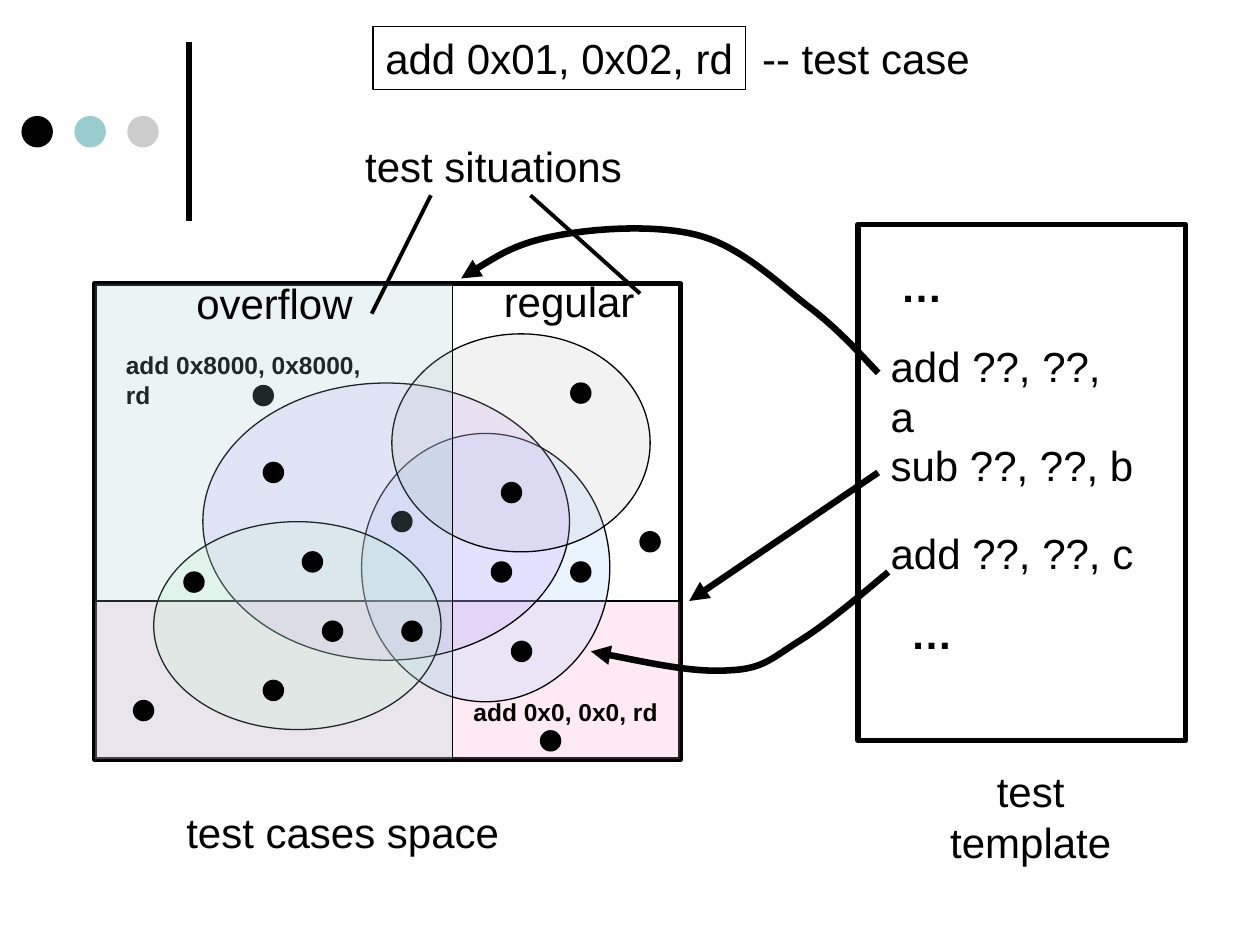
import pptx
import pptx.util
import pptx.dml.color
import pptx.enum.shapes
import pptx.enum.text
import pptx.oxml
import pptx.oxml.ns

PX = 9144
BLACK = "000000"
SHAPES = pptx.enum.shapes.MSO_SHAPE
DOT = 16


def color(value):
    return pptx.dml.color.RGBColor.from_string(value)


def shift(box, left, top, *size):
    return (box[0] + left, box[1] + top, *size)


def emu(lengths):
    return [pptx.util.Emu(length * PX) for length in lengths]


def add_element(parent, tag, **attributes):
    element = pptx.oxml.parse_xml(f"<{tag} {pptx.oxml.ns.nsdecls('a')}/>")
    for name, value in attributes.items():
        element.set(name, value)
    parent.append(element)
    return element


def set_outline(line, weight, arrow=False):
    line.fill.solid()
    line.fill.fore_color.rgb = color(BLACK)
    line.width = pptx.util.Pt(weight)
    if arrow:
        add_element(line._get_or_add_ln(), "a:tailEnd", type="triangle")


def add_figure(page, kind, box, fill=None, opacity=100, weight=0.75):
    figure = page.shapes.add_shape(kind, *emu(box))
    figure.shadow.inherit = False
    if fill:
        figure.fill.solid()
        figure.fill.fore_color.rgb = color(fill)
        if opacity < 100:
            tint = figure.fill._xPr.find(".//" + pptx.oxml.ns.qn("a:srgbClr"))
            add_element(tint, "a:alpha", val=str(opacity * 1000))
    else:
        figure.fill.background()
    if weight:
        set_outline(figure.line, weight)
    else:
        figure.line.fill.background()
    return figure


def write(frame, text, size=24, bold=False, align=pptx.enum.text.PP_ALIGN.LEFT):
    frame.word_wrap = False
    frame.auto_size = pptx.enum.text.MSO_AUTO_SIZE.SHAPE_TO_FIT_TEXT
    frame.vertical_anchor = pptx.enum.text.MSO_ANCHOR.TOP
    para = frame.paragraphs[0]
    para.text = text
    para.alignment = align
    for span in para.runs:
        span.font.name = "Arial"
        span.font.size = pptx.util.Pt(size)
        span.font.bold = bold
        span.font.color.rgb = color(BLACK)


def add_label(page, box, text, **style):
    write(page.shapes.add_textbox(*emu(box)).text_frame, text, **style)


def add_line(page, start, end, weight, arrow=False):
    straight = pptx.enum.shapes.MSO_CONNECTOR.STRAIGHT
    line = page.shapes.add_connector(straight, *emu(start + end))
    set_outline(line.line, weight, arrow)
    add_element(line._element.spPr, "a:effectLst")


def add_curved_arrow(page, points, weight):
    builder = page.shapes.build_freeform(*points[0], scale=PX)
    builder.add_line_segments(points[1:], close=False)
    curve = builder.convert_to_shape()
    curve.shadow.inherit = False
    curve.fill.background()
    set_outline(curve.line, weight, arrow=True)
    segments = curve._element.xpath(".//a:lnTo")
    outline = segments[0].getparent()
    for first in range(0, len(segments), 3):
        bend = add_element(outline, "a:cubicBezTo")
        for segment in segments[first:first + 3]:
            bend.append(segment[0])
            outline.remove(segment)


def add_dots(page, box, places):
    for left, top in places:
        add_figure(page, SHAPES.OVAL, shift(box, left, top, DOT, DOT), BLACK)


def add_ornament(page, box):
    left, top, width, height = box
    add_line(page, (left + width, top + height), (left + width, top), 3)
    for index, fill in enumerate((BLACK, "99CCCC", "CCCCCC")):
        add_figure(page, SHAPES.OVAL, shift(box, index * 42, 59, 25, 25), fill, weight=0)


def add_example(page, box):
    frame = add_figure(page, SHAPES.RECTANGLE, shift(box, 0, 0, 296, box[3]))
    write(frame.text_frame, "add 0x01, 0x02, rd")
    add_label(page, shift(box, 299, 0, 185, box[3]), "-- test case")


def add_space(page, box):
    width, height = box[2:]
    add_figure(page, SHAPES.RECTANGLE, box, weight=3)
    add_label(page, shift(box, 63, 410, 268, 50), "test cases space")
    regions = [
        (SHAPES.RECTANGLE, (0, 252, width, height - 252), "FF99CC"),
        (SHAPES.OVAL, (212, 119, 197, 213), "99CCFF"),
        (SHAPES.OVAL, (86, 79, 291, 220), "CC99FF"),
        (SHAPES.OVAL, (236, 40, 205, 173), "C0C0C0"),
        (SHAPES.OVAL, (47, 189, 228, 165), "CCFFCC"),
    ]
    for kind, area, fill in regions:
        add_figure(page, kind, shift(box, *area), fill, opacity=20)
    add_label(page, shift(box, 15, 48, 231, 34), "add 0x8000, 0x8000, rd", size=14, bold=True)
    add_label(page, shift(box, 291, 323, 166, 34), "add 0x0, 0x0, rd", size=14, bold=True)
    add_dots(page, box, [(236, 181), (126, 81), (354, 355)])
    add_figure(page, SHAPES.RECTANGLE, shift(box, 0, 0, 284, height), "99CCCC", opacity=20)
    add_label(page, shift(box, 71, -10, 144, 50), "overflow")
    add_label(page, shift(box, 315, -11, 124, 50), "regular")
    add_dots(page, box, [
        (433, 197), (31, 331), (331, 284), (244, 268), (323, 158), (134, 142), (378, 79),
        (134, 315), (71, 229), (165, 213), (181, 268), (315, 221), (378, 221),
    ])


def add_template(page, box):
    add_figure(page, SHAPES.RECTANGLE, box, weight=3)
    for left, top, text in ((16, 87, "add ??, ??, a"), (16, 166, "sub ??, ??, b"),
                            (16, 236, "add ??, ??, c")):
        add_label(page, shift(box, left, top, 213, 50), text)
    for left, top in ((24, 24), (32, 299)):
        add_label(page, shift(box, left, top, 53, 50), "…", bold=True)
    add_label(page, shift(box, 63, 425, 148, 90), "test\ntemplate",
              align=pptx.enum.text.PP_ALIGN.CENTER)


def add_arrows(page, box):
    curves = [
        [(331, 118), (314, 100), (298, 82), (274, 64), (251, 46), (222, 18), (189, 9),
         (156, 0), (107, 3), (76, 9), (44, 15), (22, 29), (0, 43)],
        [(339, 276), (314, 297), (289, 318), (268, 331), (247, 344), (240, 353), (213, 354),
         (185, 356), (144, 347), (103, 339)],
    ]
    for points in curves:
        add_curved_arrow(page, [shift(box, *point) for point in points], 3.75)
    add_line(page, shift(box, 331, 197), shift(box, 181, 299), 3.75, arrow=True)


def add_situations(page, box):
    add_label(page, shift(box, 0, 0, 224, 50), "test situations")
    for start, end in (((62, 48), (15, 142)), ((141, 48), (228, 126))):
        add_line(page, shift(box, *start), shift(box, *end), 2.25)


def main():
    deck = pptx.Presentation()
    deck.slide_width, deck.slide_height = emu((1000, 750))
    page = deck.slides.add_slide(deck.slide_layouts[6])
    add_ornament(page, (17, 33, 133, 142))
    add_example(page, (296, 21, 484, 50))
    add_space(page, (75, 225, 465, 378))
    add_template(page, (681, 178, 260, 410))
    add_arrows(page, (366, 178, 339, 356))
    add_situations(page, (280, 107, 228, 142))
    deck.save("out.pptx")


if __name__ == "__main__":
    main()
